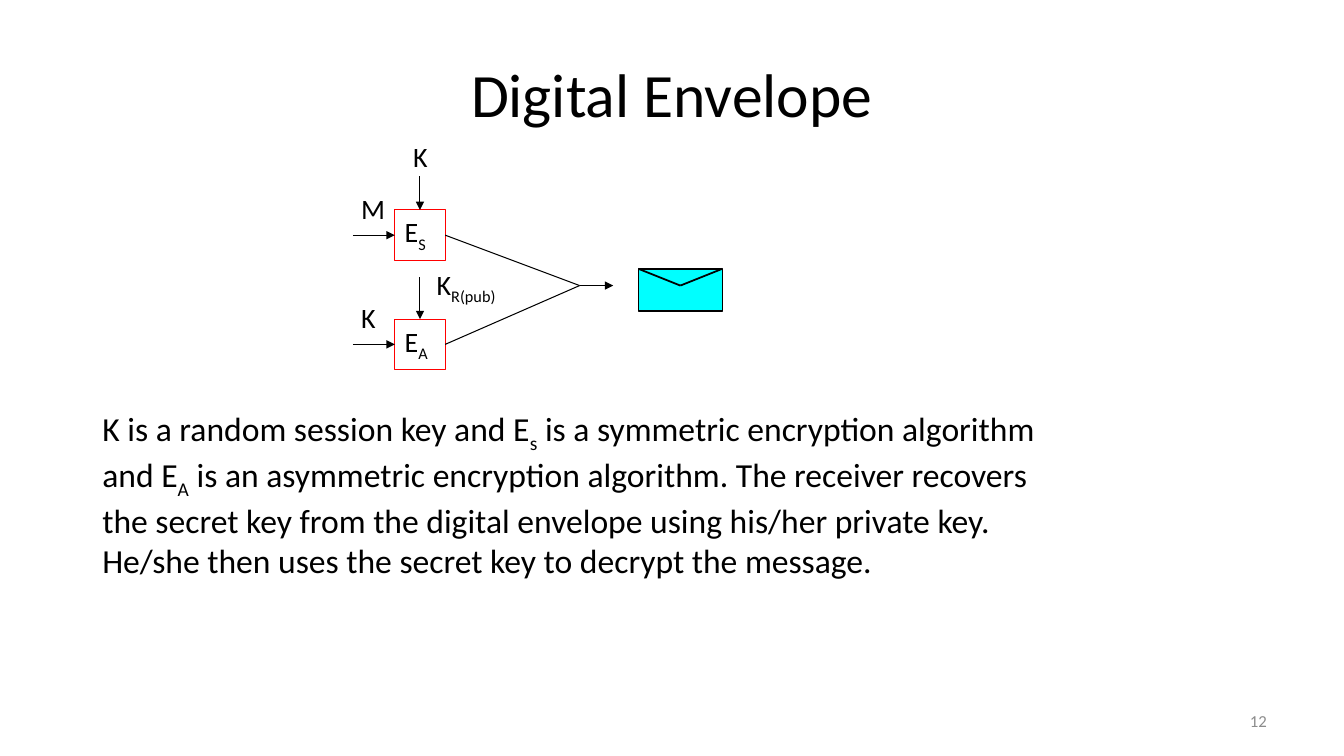
from dataclasses import dataclass, field
from typing import Any, Optional

import pptx
import pptx.dml.color
import pptx.enum.shapes
import pptx.enum.text
import pptx.oxml
import pptx.oxml.ns
import pptx.util

BLACK = pptx.dml.color.RGBColor(0x00, 0x00, 0x00)
GREY = pptx.dml.color.RGBColor(0x8C, 0x8C, 0x8C)
RED = pptx.dml.color.RGBColor(0xFF, 0x00, 0x00)
CYAN = pptx.dml.color.RGBColor(0x00, 0xFF, 0xFF)

# The slide is a grid of 160 columns by 90 rows with square cells.
CELL = pptx.util.Inches(1) // 12
COLUMNS, ROWS = 160, 90
THIN, THICK = 0.75, 1.25
TOP, LEFT, RIGHT = 0, 1, 3

ALIGN = pptx.enum.text.PP_ALIGN
ANCHOR = pptx.enum.text.MSO_ANCHOR
GROW = pptx.enum.text.MSO_AUTO_SIZE.SHAPE_TO_FIT_TEXT


@dataclass
class Label:
    """Text on the grid; every second wording is a subscript."""
    wordings: list[str]
    column: float
    row: float
    width: float
    height: float
    size: int = 20
    color: pptx.dml.color.RGBColor = BLACK
    align: Any = ALIGN.LEFT
    frame: dict[str, Any] = field(
        default_factory=lambda: {"word_wrap": False, "auto_size": GROW})


@dataclass
class Box:
    name: str
    column: float
    row: float
    width: float
    height: float
    line: pptx.dml.color.RGBColor
    weight: float
    fill: Optional[pptx.dml.color.RGBColor] = None


@dataclass
class Line:
    start: tuple[float, float]
    end: tuple[float, float]
    arrow: bool = False
    weight: float = THIN
    begin_at: Optional[tuple[str, int]] = None
    end_at: Optional[tuple[str, int]] = None


CENTRED = {"word_wrap": True, "vertical_anchor": ANCHOR.MIDDLE}
GROWING = {"word_wrap": True, "auto_size": GROW}

BOXES = [
    Box("symmetric", 47, 25, 6, 6, RED, THIN),
    Box("asymmetric", 47, 38, 6, 6, RED, THIN),
    Box("envelope", 76, 32, 10, 5, BLACK, THICK, CYAN),
]

MERGE = (69, 34)
FLAP_TIP = (81, 34)
LINES = [
    Line((42, 28), (47, 28), True, end_at=("symmetric", LEFT)),
    Line((42, 41), (47, 41), True, end_at=("asymmetric", LEFT)),
    Line((50, 21), (50, 25), True, end_at=("symmetric", TOP)),
    Line((50, 33), (50, 38), True, end_at=("asymmetric", TOP)),
    Line((53, 28), MERGE, begin_at=("symmetric", RIGHT)),
    Line((53, 41), MERGE, begin_at=("asymmetric", RIGHT)),
    Line(MERGE, (73, 34), True),
    Line((76, 32), FLAP_TIP, weight=THICK),
    Line((86, 32), FLAP_TIP, weight=THICK),
]

LABELS = [
    Label(["12"], 114.7, 83.4, 37.3, 4.8, 12, GREY, ALIGN.RIGHT, CENTRED),
    Label(["Digital Envelope"], 8, 3.6, 144, 15, 44, BLACK, ALIGN.CENTER, CENTRED),
    Label(["E", "S"], 47, 25, 5, 5.25),
    Label(["E", "A"], 47, 38, 5.25, 5.25),
    Label(["K"], 48, 16, 4.2, 5.25),
    Label(["K"], 41.8, 35.2, 4.2, 5.25),
    Label(["K", "R(pub)"], 50.8, 31.2, 12.25, 5.25, frame=GROWING),
    Label(["M"], 41.8, 22.2, 5.4, 5.25),
    Label(["K is a random session key and E", "s",
           " is a symmetric encryption algorithm and E", "A",
           " is an asymmetric encryption algorithm. The receiver recovers the "
           "secret key from the digital envelope using his/her private key. "
           "He/she then uses the secret key to decrypt the message."],
          11, 48, 117, 20.6, 24, frame=GROWING),
]


def cells(*counts: float) -> list[int]:
    return [round(count * CELL) for count in counts]


def set_all(target: Any, values: dict[str, Any]) -> None:
    for name, value in values.items():
        setattr(target, name, value)


def draw_box(page: Any, box: Box) -> Any:
    shape = page.shapes.add_shape(
        pptx.enum.shapes.MSO_SHAPE.RECTANGLE,
        *cells(box.column, box.row, box.width, box.height))
    shape.shadow.inherit = False
    if box.fill is None:
        shape.fill.background()
    else:
        shape.fill.solid()
        shape.fill.fore_color.rgb = box.fill
    shape.line.color.rgb = box.line
    shape.line.width = pptx.util.Pt(box.weight)
    return shape


def draw_line(page: Any, line: Line, shapes: dict[str, Any]) -> None:
    connector = page.shapes.add_connector(
        pptx.enum.shapes.MSO_CONNECTOR.STRAIGHT, *cells(*line.start, *line.end))
    if line.begin_at:
        name, side = line.begin_at
        connector.begin_connect(shapes[name], side)
    if line.end_at:
        name, side = line.end_at
        connector.end_connect(shapes[name], side)
    connector.line.color.rgb = BLACK
    connector.line.width = pptx.util.Pt(line.weight)
    properties = connector._element.spPr
    if line.arrow:
        head = pptx.oxml.parse_xml(
            f'<a:tailEnd {pptx.oxml.ns.nsdecls("a")} type="triangle"/>')
        properties.find(pptx.oxml.ns.qn("a:ln")).append(head)
    properties.append(pptx.oxml.parse_xml(
        f'<a:effectLst {pptx.oxml.ns.nsdecls("a")}/>'))


def draw_label(page: Any, label: Label) -> None:
    box = page.shapes.add_textbox(
        *cells(label.column, label.row, label.width, label.height))
    set_all(box.text_frame, label.frame)
    para = box.text_frame.paragraphs[0]
    para.alignment = label.align
    for index, wording in enumerate(label.wordings):
        span = para.add_run()
        span.text = wording
        set_all(span.font, {"name": "Calibri", "size": pptx.util.Pt(label.size)})
        span.font.color.rgb = label.color
        if index % 2:
            span._r.get_or_add_rPr().set("baseline", "-25000")


def main() -> None:
    deck = pptx.Presentation()
    set_all(deck, {"slide_width": COLUMNS * CELL, "slide_height": ROWS * CELL})
    page = deck.slides.add_slide(deck.slide_layouts[6])
    shapes = {box.name: draw_box(page, box) for box in BOXES}
    for line in LINES:
        draw_line(page, line, shapes)
    for label in LABELS:
        draw_label(page, label)
    deck.save("out.pptx")


if __name__ == "__main__":
    main()
